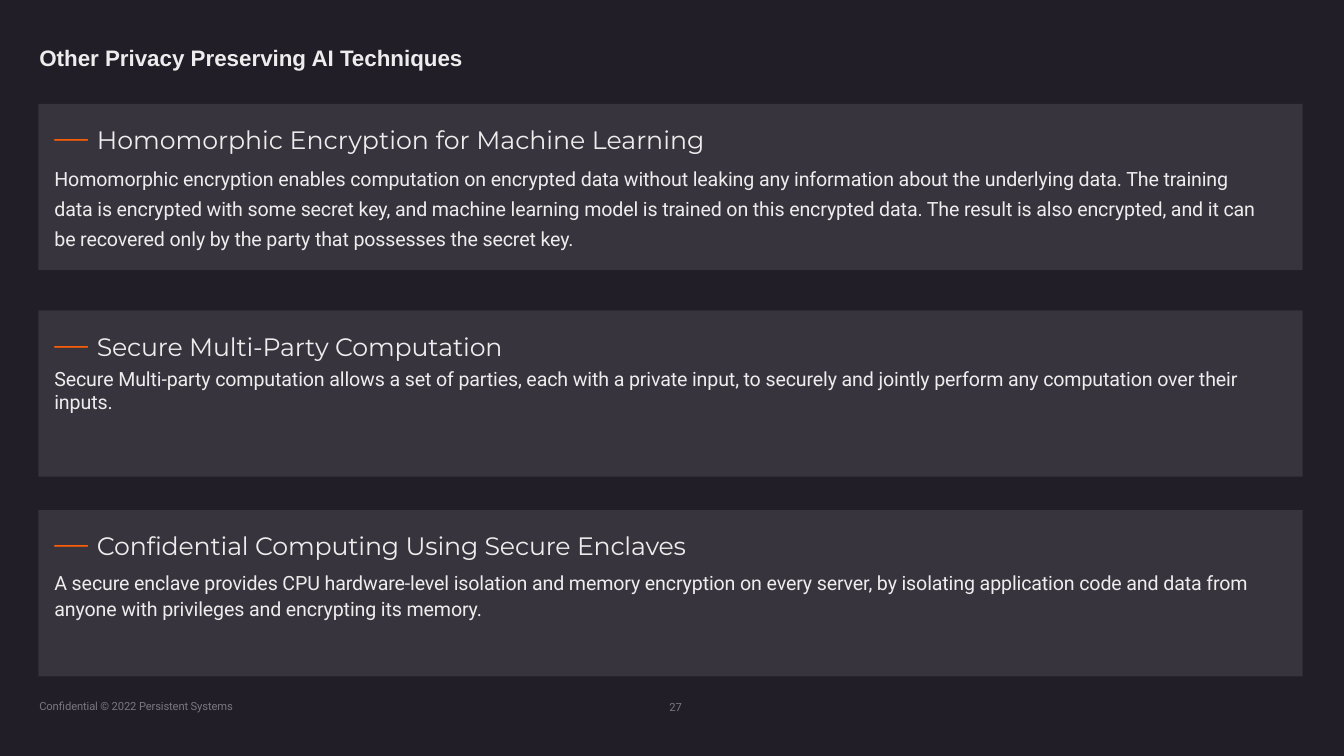
from dataclasses import dataclass

from lxml import etree
from pptx import Presentation
from pptx.dml.color import RGBColor
from pptx.enum.shapes import MSO_SHAPE
from pptx.enum.text import MSO_ANCHOR, PP_ALIGN
from pptx.oxml.ns import qn
from pptx.util import Inches, Pt

RECTANGLE = MSO_SHAPE.RECTANGLE
TOP = MSO_ANCHOR.TOP
LEFT = PP_ALIGN.LEFT

COLORS = {
    "background": "221E28",
    "panel": "4E4A53",
    "text": "EDEDED",
    "accent": "FC5F07",
    "footer": "79787E",
}


@dataclass
class Label:
    text: str
    left: float
    top: float
    width: float
    height: float
    size: float
    font: str
    color: str
    bold: bool = False
    spacing: float = -0.1


@dataclass
class Panel:
    top: float
    heading: str
    lines: tuple[str, ...]
    gap_before: float
    line_gap: float = 0
    line_spacing: float = 1.0
    heading_spacing: float = -0.1


LABELS = [
    Label("Other Privacy Preserving AI Techniques", 0.39, 0.44, 4.25, 0.3,
          16, "Arial", "text", bold=True, spacing=0),
    Label("27", 6.64, 6.95, 0.2, 0.14, 8, "Roboto", "footer"),
    Label("Confidential © 2022 Persistent Systems", 0.39, 6.94, 1.98, 0.14,
          8, "Roboto", "footer"),
]

PANELS = [
    Panel(1.03, "Homomorphic Encryption for Machine Learning", (
        "Homomorphic encryption enables computation on encrypted data without "
        "leaking any information about the underlying data. The training",
        "data is encrypted with some secret key, and machine learning model is "
        "trained on this encrypted data. The result is also encrypted, and it can",
        "be recovered only by the party that possesses the secret key.",
    ), gap_before=2.6, line_spacing=1.29, heading_spacing=0),
    Panel(3.08, "Secure Multi-Party Computation", (
        "Secure Multi-party computation allows a set of parties, each with a "
        "private input, to securely and jointly perform any computation over their",
        "inputs.",
    ), gap_before=2.8),
    Panel(5.06, "Confidential Computing Using Secure Enclaves", (
        "A secure enclave provides CPU hardware-level isolation and memory "
        "encryption on every server, by isolating application code and data from",
        "anyone with privileges and encrypting its memory.",
    ), gap_before=5.9, line_gap=1.7),
]


def add_span(para, text: str, *, size: float, font: str, color: str,
             bold: bool = False, spacing: float = 0) -> None:
    span = para.add_run()
    span.text = text
    span.font.size = Pt(size)
    span.font.name = font
    span.font.bold = bold
    span.font.color.rgb = RGBColor.from_string(COLORS[color])
    if spacing:
        span.font._element.set("spc", str(round(spacing * 100)))


def set_margins(frame, left: float = 0, top: float = 0) -> None:
    frame.margin_left, frame.margin_top = Inches(left), Inches(top)
    frame.margin_right = frame.margin_bottom = 0
    frame.vertical_anchor = TOP


def draw_label(page, label: Label) -> None:
    box = page.shapes.add_textbox(Inches(label.left), Inches(label.top),
                                  Inches(label.width), Inches(label.height))
    frame = box.text_frame
    set_margins(frame)
    frame.word_wrap = False
    add_span(frame.paragraphs[0], label.text, size=label.size, font=label.font,
             color=label.color, bold=label.bold, spacing=label.spacing)


def draw_panel(page, panel: Panel) -> None:
    box = page.shapes.add_shape(RECTANGLE, Inches(0.38), Inches(panel.top),
                                Inches(12.54), Inches(1.65))
    box.shadow.inherit = False
    box.line.fill.background()
    box.fill.solid()
    box.fill.fore_color.rgb = RGBColor.from_string(COLORS["panel"])
    fill_color = box._element.spPr.find(qn("a:solidFill"))[0]
    etree.SubElement(fill_color, qn("a:alpha")).set("val", "50000")

    frame = box.text_frame
    set_margins(frame, left=0.16, top=0.12)
    frame.word_wrap = True
    heading = frame.paragraphs[0]
    heading.alignment = LEFT
    add_span(heading, "— ", size=24, font="Montserrat", color="accent")
    add_span(heading, panel.heading, size=18, font="Montserrat", color="text",
             spacing=panel.heading_spacing)
    for index, line in enumerate(panel.lines):
        para = frame.add_paragraph()
        para.alignment = LEFT
        para.line_spacing = panel.line_spacing
        para.space_before = Pt(panel.line_gap if index else panel.gap_before)
        add_span(para, line, size=14, font="Roboto", color="text", spacing=-0.1)


def main() -> None:
    deck = Presentation()
    deck.slide_width, deck.slide_height = Inches(13.33), Inches(7.5)
    page = deck.slides.add_slide(deck.slide_layouts[6])
    page.background.fill.solid()
    page.background.fill.fore_color.rgb = RGBColor.from_string(COLORS["background"])
    for panel in PANELS:
        draw_panel(page, panel)
    for label in LABELS:
        draw_label(page, label)
    deck.save("out.pptx")


if __name__ == "__main__":
    main()
